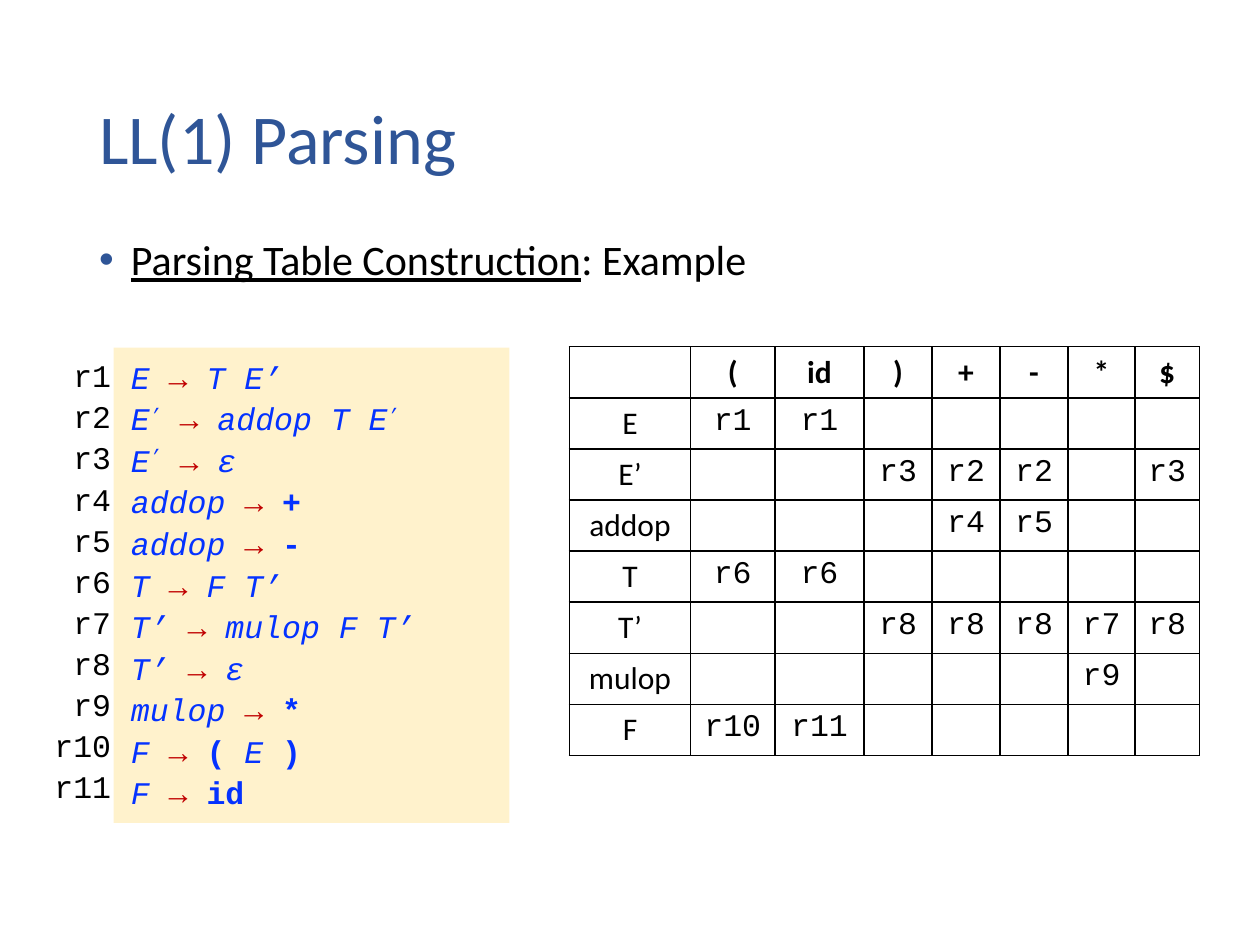
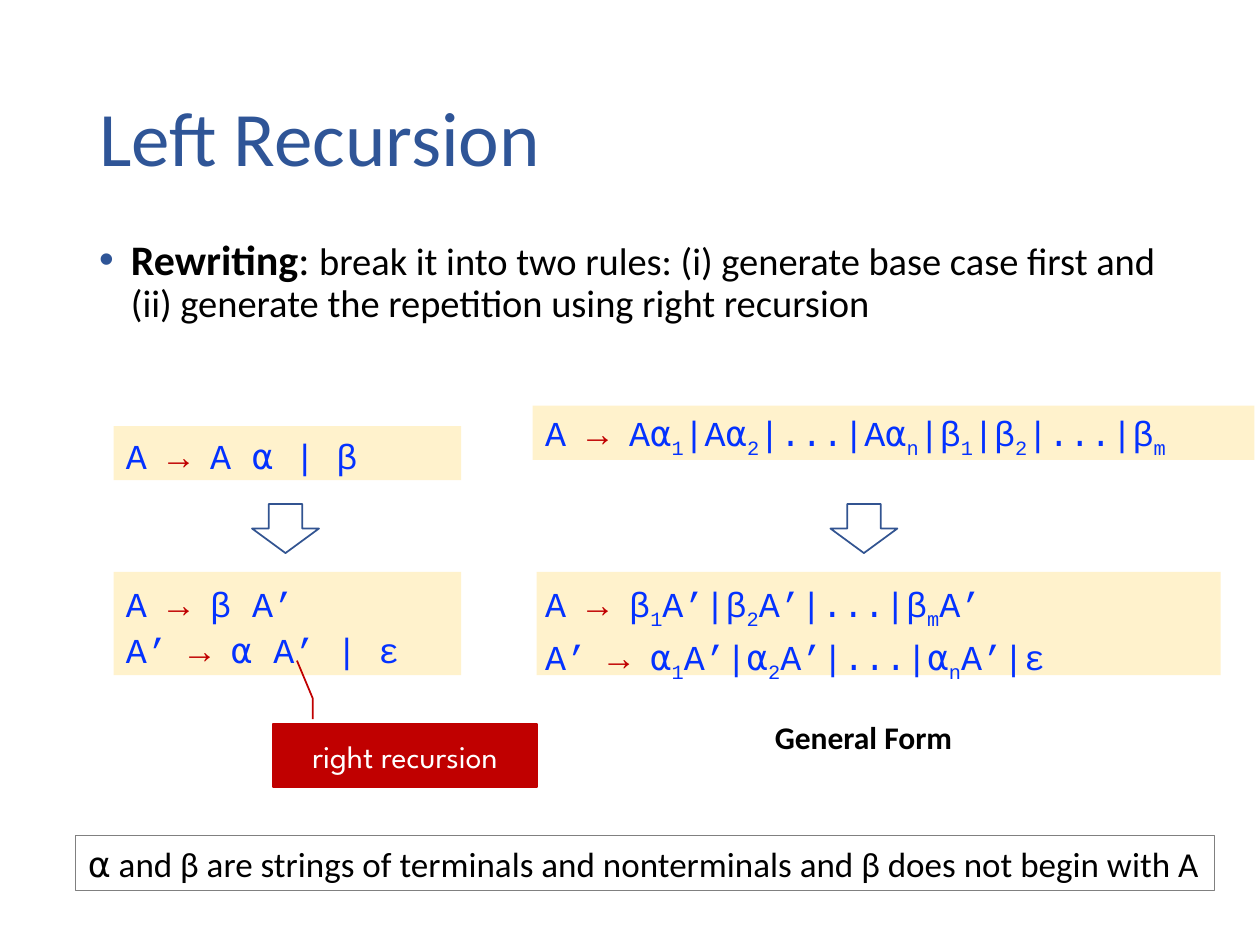
from itertools import groupby

from lxml import etree
from pptx import Presentation
from pptx import util as u
from pptx.dml.color import RGBColor
from pptx.enum import shapes, text
from pptx.oxml import ns

BODY, CODE, CALLOUT = "Calibri", "Courier New", "League Spartan"
BLACK, WHITE, TITLE, GRAMMAR, RED, CREAM, OUTLINE, GREY = (
    "000000", "FFFFFF", "2F5597", "0432FF", "C00000", "FFF2CC", "325491", "808080")
MARKS = "#%~^_"  # bold, underline, 22 pt, superscript, subscript
BASELINES = {"^": "30000", "_": "-25000"}
CENTER, RIGHT = text.PP_ALIGN.CENTER, text.PP_ALIGN.RIGHT
SHAPE = shapes.MSO_SHAPE


def rgb(value):
    return RGBColor.from_string(value)


def place(box):
    return [u.Cm(length) for length in box]


def add_xml(parent, tag, **attributes):
    return etree.SubElement(parent, ns.qn(tag), attributes)


def styled_parts(markup):
    """Split markup into (marks, text) parts; each mark switches its style on or off."""
    active, letters = frozenset(), []
    for letter in markup:
        if letter in MARKS:
            active ^= {letter}
        else:
            letters.append((active | {"→"} if letter == "→" else active, letter))
    for marks, group in groupby(letters, key=lambda pair: pair[0]):
        yield marks, "".join(letter for _, letter in group)


class Deck:
    def __init__(self):
        self.prs = Presentation()
        self.prs.slide_width, self.prs.slide_height = u.Cm(25.4), u.Cm(19.05)
        self.slide = None

    def new_slide(self, title, size):
        self.slide = self.prs.slides.add_slide(self.prs.slide_layouts[6])
        frame = self.textbox((1.75, 1.02, 21.9, 3.68), [title], size=size,
                             color=TITLE, spacing=0.9)
        frame.vertical_anchor = text.MSO_ANCHOR.MIDDLE

    def set_text(self, paragraph, markup, font=BODY, size=18, color=BLACK, bold=False,
                 italic=False, align=None, spacing=None):
        paragraph.alignment = align
        paragraph.line_spacing = spacing
        base = paragraph.font
        base.name, base.size, base.color.rgb = font, u.Pt(size), rgb(color)
        base.bold, base.italic = bold, italic
        for marks, content in styled_parts(markup):
            run = paragraph.add_run()
            run.text = content
            if "→" in marks:
                run.font.color.rgb = rgb(RED)
            if "#" in marks:
                run.font.bold, run.font.italic = True, False
            if "%" in marks:
                run.font.underline = True
            if "~" in marks:
                run.font.size = u.Pt(22)
            for mark in marks & BASELINES.keys():
                run.font._element.set("baseline", BASELINES[mark])

    def textbox(self, box, lines, wrap=True, **style):
        frame = self.slide.shapes.add_textbox(*place(box)).text_frame
        frame.word_wrap = wrap
        for index, line in enumerate(lines):
            paragraph = frame.add_paragraph() if index else frame.paragraphs[0]
            self.set_text(paragraph, line, **style)
        return frame

    def bullet(self, box, markup):
        frame = self.slide.shapes.add_textbox(*place(box)).text_frame
        frame.word_wrap = True
        paragraph = frame.paragraphs[0]
        properties = paragraph._p.get_or_add_pPr()
        indent = u.Cm(0.64)
        properties.set("marL", str(indent))
        properties.set("indent", str(-indent))
        add_xml(add_xml(properties, "a:buClr"), "a:srgbClr", val=TITLE)
        add_xml(properties, "a:buFont", typeface="Arial")
        add_xml(properties, "a:buChar", char="•")
        self.set_text(paragraph, markup, size=24, spacing=0.9)

    def shape(self, kind, box, fill=None, line=None, width=1):
        shape = self.slide.shapes.add_shape(kind, *place(box))
        shape.shadow.inherit = False
        if fill:
            shape.fill.solid()
            shape.fill.fore_color.rgb = rgb(fill)
        else:
            shape.fill.background()
        if line:
            shape.line.color.rgb = rgb(line)
            shape.line.width = u.Pt(width)
        else:
            shape.line.fill.background()
        return shape

    def grammar(self, panel, box, rules, **style):
        self.shape(SHAPE.RECTANGLE, panel, CREAM)
        self.textbox(box, rules, font=CODE, color=GRAMMAR, spacing=1.1, **style)

    def rewrite_arrow(self, left):
        arrow = self.shape(SHAPE.RIGHT_ARROW, (left, 9.98, 0.99, 1.35), line=OUTLINE)
        arrow.rotation = 90

    def boxed(self, shape, content, **style):
        shape.text_frame.word_wrap = True
        self.set_text(shape.text_frame.paragraphs[0], content, **style)

    def parsing_table(self, left, top, widths, row_height, terminals, rows):
        """Draw the table; rows maps each nonterminal to {terminal: rule}."""
        table = self.slide.shapes.add_table(
            len(rows) + 1, len(widths),
            *place((left, top, sum(widths), row_height * (len(rows) + 1)))).table
        table.first_row = table.horz_banding = False
        for column, width in zip(table.columns, widths):
            column.width = u.Cm(width)
        for row in table.rows:
            row.height = u.Cm(row_height)
        grid = [["", *terminals]]
        grid += [[name, *(rules.get(t, "") for t in terminals)]
                 for name, rules in rows.items()]
        for r, entries in enumerate(grid):
            for c, entry in enumerate(entries):
                cell = table.cell(r, c)
                self.border(cell)
                cell.fill.background()
                self.set_text(cell.text_frame.paragraphs[0], entry, align=CENTER,
                              font=CODE if r and c else BODY, bold=r == 0)

    def border(self, cell):
        properties = cell._tc.get_or_add_tcPr()
        for side in ("L", "R", "T", "B"):
            line = add_xml(properties, f"a:ln{side}", w=str(u.Pt(1)))
            add_xml(add_xml(line, "a:solidFill"), "a:srgbClr", val=BLACK)


def ll1_slide(deck):
    deck.new_slide("LL(1) Parsing", 40)
    rules = ["E → T E’", "E^’^ → addop T E^’^", "E^’^ → ε", "addop → #+#",
             "addop → #-#", "T → F T’", "T’ → mulop F T’", "T’ → ε",
             "mulop → #*#", "F → #(# E #)#", "F → #id#"]
    deck.grammar((2.29, 7.01, 7.98, 9.58), (2.39, 7.01, 7.85, 9.53), rules, italic=True)
    deck.parsing_table(
        11.48, 6.99, (2.44, 1.7, 1.8, 1.37, 1.37, 1.37, 1.35, 1.3), 1.03,
        ["(", "id", ")", "+", "-", "*", "$"],
        {"E": {"(": "r1", "id": "r1"},
         "E’": {")": "r3", "+": "r2", "-": "r2", "$": "r3"},
         "addop": {"+": "r4", "-": "r5"},
         "T": {"(": "r6", "id": "r6"},
         "T’": {")": "r8", "+": "r8", "-": "r8", "*": "r7", "$": "r8"},
         "mulop": {"*": "r9"},
         "F": {"(": "r10", "id": "r11"}})
    deck.textbox((0.84, 6.99, 1.65, 9.63), [f"r{n + 1}" for n in range(len(rules))],
                 wrap=False, font=CODE, align=RIGHT, spacing=u.Pt(23.5))
    deck.bullet((1.75, 4.7, 23.65, 1.68), "%Parsing Table Construction%: Example")


def left_recursion_slide(deck):
    deck.new_slide("Left Recursion", 44)
    deck.bullet((1.75, 4.7, 22.48, 2.13),
                "#Rewriting#: ~break it into two rules: (i) generate base case first "
                "and (ii) generate the repetition using right recursion")
    deck.grammar((2.29, 8.59, 7.01, 1.09), (2.29, 8.56, 6.43, 1.14),
                 ["A → A ⍺ | β"], size=20)
    deck.grammar((2.29, 11.53, 7.01, 2.08), (2.29, 11.53, 6.78, 2.08),
                 ["A → β A’", "A’ → ⍺ A’ | ε"], size=20)
    deck.grammar((10.74, 8.18, 14.55, 1.09), (10.74, 8.08, 14.58, 1.19),
                 ["A → A⍺_1_|A⍺_2_|...|A⍺_n_|β_1_|β_2_|...|β_m_"], size=20)
    deck.grammar((10.82, 11.53, 13.79, 2.08), (10.74, 11.53, 12.75, 2.13),
                 ["A → β_1_A’|β_2_A’|...|β_m_A’",
                  "A’ → ⍺_1_A’|⍺_2_A’|...|⍺_n_A’|ε"], size=20)
    for left in (5.26, 16.92):
        deck.rewrite_arrow(left)

    recursion = deck.shape(SHAPE.LINE_CALLOUT_2, (5.51, 14.6, 5.31, 1.27), RED, RED)
    for index, value in enumerate((-0.08, 0.15, -0.41, 0.15, -1.01, 0.09)):
        recursion.adjustments[index] = value
    deck.boxed(recursion, "right recursion", font=CALLOUT, color=WHITE, align=CENTER)
    deck.textbox((15.37, 14.35, 4.11, 1.02), ["General Form"], wrap=False, bold=True)
    note = deck.shape(SHAPE.RECTANGLE, (1.52, 16.84, 22.96, 1.12), line=GREY, width=0.75)
    deck.boxed(note, "⍺ and β are strings of terminals and nonterminals "
                     "and β does not begin with A", size=20, align=text.PP_ALIGN.LEFT)


def main():
    deck = Deck()
    ll1_slide(deck)
    left_recursion_slide(deck)
    deck.prs.save("out.pptx")


if __name__ == "__main__":
    main()
